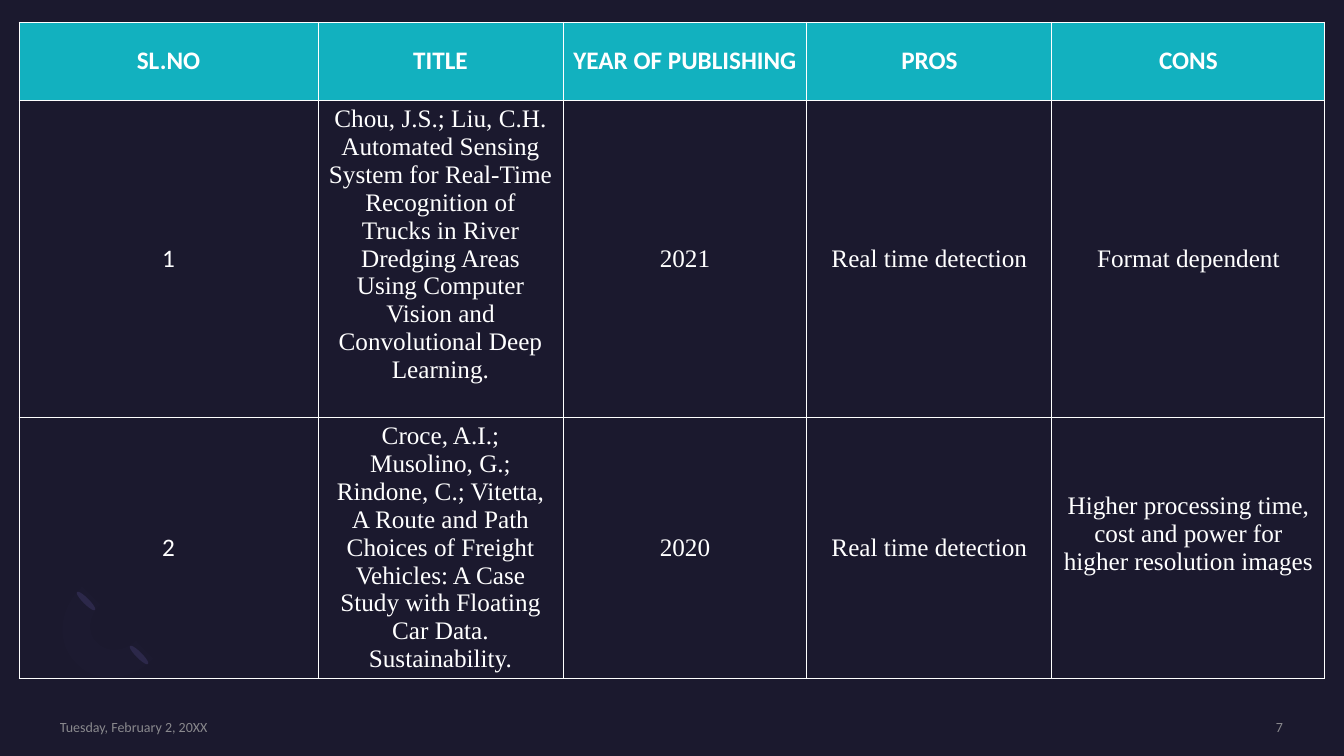
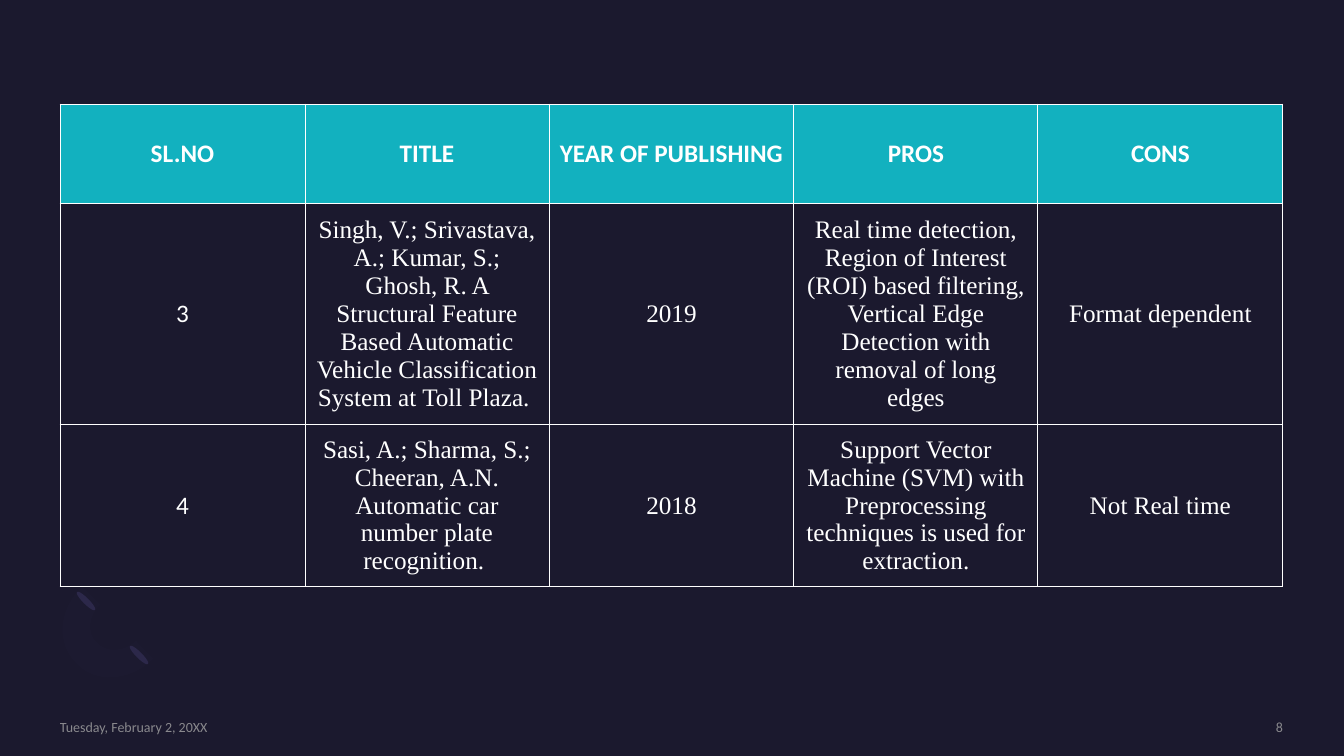
from lxml import etree
from pptx import Presentation
from pptx.dml.color import RGBColor
from pptx.enum.shapes import MSO_SHAPE
from pptx.enum.text import MSO_ANCHOR, PP_ALIGN
from pptx.oxml.ns import qn
from pptx.util import Emu, Pt

PX = 914400 / 100.8
ELLIPSE = MSO_SHAPE.OVAL
MIDDLE = MSO_ANCHOR.MIDDLE
LEFT, CENTER, RIGHT = PP_ALIGN.LEFT, PP_ALIGN.CENTER, PP_ALIGN.RIGHT

NAVY = RGBColor(0x1B, 0x19, 0x2E)
INDIGO = RGBColor(0x2C, 0x28, 0x4A)
LILAC = RGBColor(0x77, 0x71, 0xB2)
TEAL = RGBColor(0x12, 0xB1, 0xBF)
WHITE = RGBColor(0xFF, 0xFF, 0xFF)
GREY = RGBColor(0xA6, 0xA6, 0xA6)

SANS, SERIF = "Calibri", "Times New Roman"
DATE = "Tuesday, February 2, 20XX"
HEADINGS = ("SL.NO", "TITLE", "YEAR OF PUBLISHING", "PROS", "CONS")
ARC_BOX = (57, 587)
FOOTER_BOX = (60, 718, 1223, 17)

ARC_CURVES = (
    ((20, 77), (-1, 57), (1, 23), (25, 0)),
    ((43, 18), (31, 29), (30, 47), (40, 56)),
    ((40, 56), (50, 66), (67, 65), (79, 54)),
    ((96, 72), (74, 94), (39, 97), (20, 77)),
)

SLIDES = (
    dict(
        number=7, box=(19, 22), widths=(299, 245, 244, 245, 273),
        heights=(78, 317, 261), raised=((1, 1), (2, 4)),
        rows=(
            ("1", "Chou, J.S.; Liu, C.H. Automated Sensing System for Real-Time "
             "Recognition of Trucks in River Dredging Areas Using Computer Vision "
             "and Convolutional Deep Learning.",
             "2021", "Real time detection", "Format dependent"),
            ("2", "Croce, A.I.; Musolino, G.; Rindone, C.; Vitetta, A Route and Path "
             "Choices of Freight Vehicles: A Case Study with Floating Car Data. "
             "Sustainability.",
             "2020", "Real time detection",
             "Higher processing time, cost and power for higher resolution images "),
        ),
    ),
    dict(
        number=8, box=(60, 104), widths=(245, 244, 245, 244, 245),
        heights=(99, 205, 150), raised=(),
        rows=(
            ("3", "Singh, V.; Srivastava, A.; Kumar, S.; Ghosh, R. A Structural "
             "Feature Based Automatic Vehicle Classification System at Toll Plaza. ",
             "2019", "Real time detection, Region of Interest (ROI) based filtering, "
             "Vertical Edge Detection with removal of long edges",
             "Format dependent"),
            ("4", "Sasi, A.; Sharma, S.; Cheeran, A.N. Automatic car number plate "
             "recognition. ",
             "2018", "Support Vector Machine (SVM) with Preprocessing techniques is "
             "used for extraction.", "Not Real time"),
        ),
    ),
)


def px(n):
    return Emu(round(n * PX))


def set_alpha(fill, percent):
    fill_xml = fill._xPr.find(qn("a:solidFill"))
    etree.SubElement(fill_xml[0], qn("a:alpha"), val=str(percent * 1000))


def paint(sp, color):
    sp.shadow.inherit = False
    sp.fill.solid()
    sp.fill.fore_color.rgb = color
    sp.line.fill.background()


def add_text(tf, text, font, size, color, align, bold=False):
    p = tf.paragraphs[0]
    p.alignment = align
    r = p.add_run()
    r.text = text
    r.font.name = font
    r.font.size = Pt(size)
    r.font.bold = bold
    r.font.color.rgb = color
    return r


def bezier(a, b, c, d, steps=12):
    for i in range(steps + 1):
        t = i / steps
        u = 1 - t
        yield tuple(
            u**3 * a[k] + 3 * u * u * t * b[k] + 3 * u * t * t * c[k] + t**3 * d[k]
            for k in (0, 1)
        )


def add_arc_motif(slide, layout, box):
    x, y = box
    points = [(px(x + a), px(y + b)) for curve in ARC_CURVES for a, b in bezier(*curve)]
    builder = slide.shapes.build_freeform(*points[0], scale=1.0)
    builder.add_line_segments(points[1:], close=True)
    arc = builder.convert_to_shape()
    paint(arc, LILAC)
    set_alpha(arc.fill, 2)
    motif = [arc]
    for dx, dy in ((79, 55), (26, 1)):
        sp = slide.shapes.add_shape(ELLIPSE, px(x + dx), px(y + dy), px(6), px(26))
        sp.rotation = 135
        paint(sp, INDIGO)
        motif.append(sp)
    for i, sp in enumerate(motif):
        sp.element.nvSpPr.cNvPr.set("id", str(100 + i))
        layout.shapes.element.append(sp.element)


def set_borders(cell):
    tc_pr = cell._tc.get_or_add_tcPr()
    for i, side in enumerate(("lnL", "lnR", "lnT", "lnB")):
        ln = etree.Element(qn("a:" + side), w=str(Pt(0.75)))
        fill = etree.SubElement(ln, qn("a:solidFill"))
        etree.SubElement(fill, qn("a:srgbClr"), val=str(WHITE))
        tc_pr.insert(i, ln)


def add_paper_table(slide, box, widths, heights, rows, raised):
    x, y = box
    table = slide.shapes.add_table(
        len(heights), len(widths), px(x), px(y), px(sum(widths)), px(sum(heights))
    ).table
    table.first_row = True
    table.horz_banding = False
    for column, width in zip(table.columns, widths):
        column.width = px(width)
    for row, height in zip(table.rows, heights):
        row.height = px(height)
    for i, texts in enumerate((HEADINGS, *rows)):
        for j, text in enumerate(texts):
            cell = table.cell(i, j)
            cell.vertical_anchor = MIDDLE
            if i == 0:
                cell.fill.solid()
                cell.fill.fore_color.rgb = TEAL
            else:
                cell.fill.background()
            if (i, j) in raised:
                cell.margin_bottom = px(33)
            font = SANS if i == 0 or j == 0 else SERIF
            add_text(cell.text_frame, text, font, 18, WHITE, CENTER, i == 0)
            set_borders(cell)


def add_footer(slide, box, number):
    x, y, w, h = box
    parts = ((x, 290, DATE, LEFT), (x + w - 186, 186, str(number), RIGHT))
    for left, width, text, align in parts:
        tf = slide.shapes.add_textbox(px(left), px(y), px(width), px(h)).text_frame
        tf.word_wrap = True
        tf.vertical_anchor = MIDDLE
        tf.margin_left = tf.margin_right = tf.margin_top = tf.margin_bottom = 0
        r = add_text(tf, text, SANS, 10, GREY, align)
        set_alpha(r.font.fill, 80)


def main():
    prs = Presentation()
    prs.slide_width, prs.slide_height = px(1344), px(756)
    fill = prs.slide_master.background.fill
    fill.solid()
    fill.fore_color.rgb = NAVY
    layout = prs.slide_layouts[6]
    for i, data in enumerate(SLIDES):
        slide = prs.slides.add_slide(layout)
        if i == 0:
            add_arc_motif(slide, layout, ARC_BOX)
        add_paper_table(slide, data["box"], data["widths"], data["heights"],
                        data["rows"], data["raised"])
        add_footer(slide, FOOTER_BOX, data["number"])
    prs.save("out.pptx")


if __name__ == "__main__":
    main()
